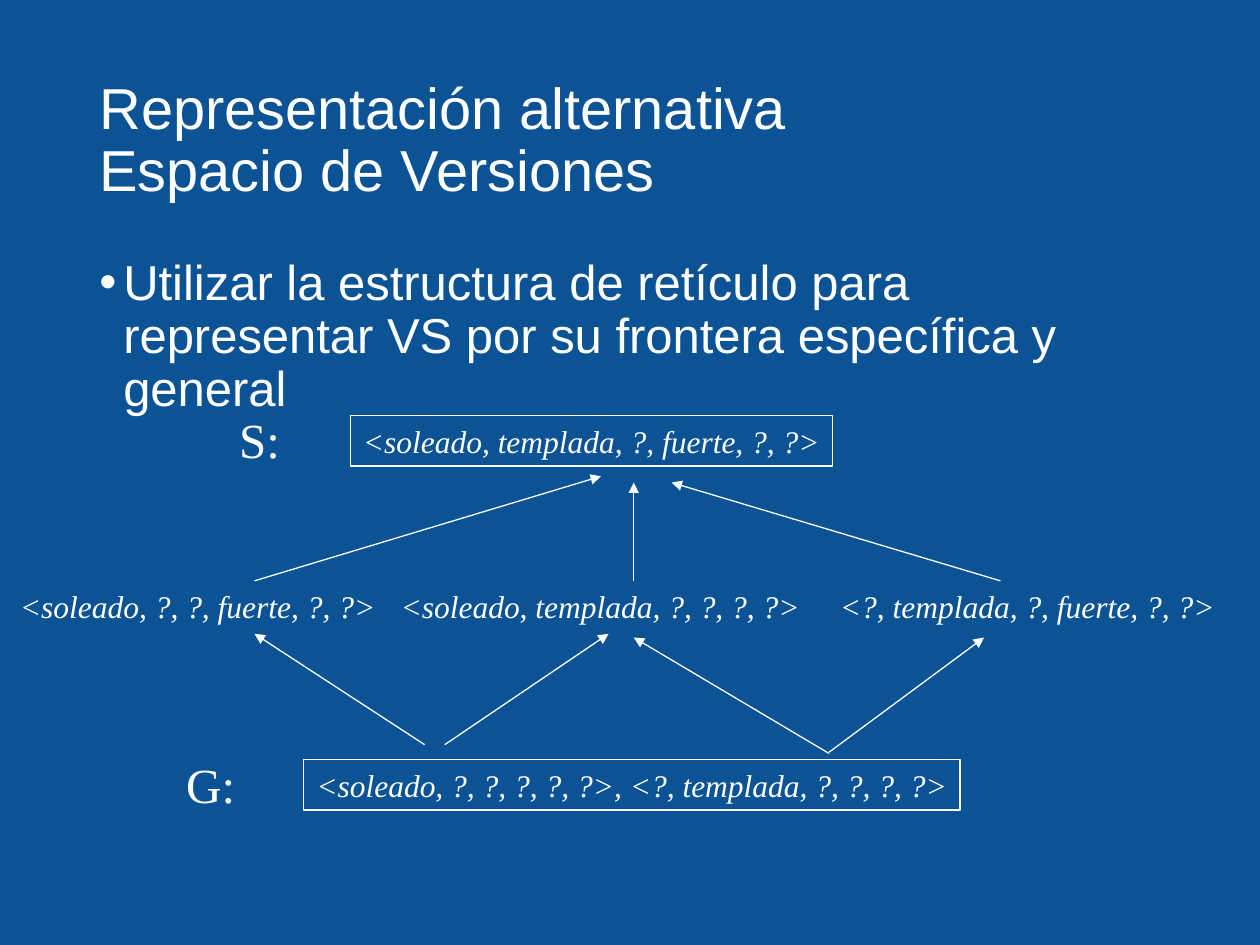
import pptx
import pptx.util
import pptx.dml.color
import pptx.enum.shapes
import pptx.enum.text
from lxml import etree
from pptx.util import Inches, Pt

BLUE = pptx.dml.color.RGBColor(0x0B, 0x53, 0x95)
WHITE = pptx.dml.color.RGBColor(0xFF, 0xFF, 0xFF)
SANS = "Arial"
SERIF = "Times New Roman"
ALIGN = pptx.enum.text.PP_ALIGN
ANCHOR = pptx.enum.text.MSO_ANCHOR
SHAPE = pptx.enum.shapes.MSO_SHAPE
LINK = pptx.enum.shapes.MSO_CONNECTOR
NODE_H = 0.4


def add_xml(parent, tag, **attrs):
    return etree.SubElement(parent, pptx.oxml.ns.qn(tag), attrs)


class Board:
    def __init__(self, deck):
        self.slide = deck.slides.add_slide(deck.slide_layouts[6])
        fill = self.slide.background.fill
        fill.solid()
        fill.fore_color.rgb = BLUE

    def style(self, para, font, size, italic=False):
        para.font.name = font
        para.font.size = Pt(size)
        para.font.italic = italic
        para.font.color.rgb = WHITE

    def box(self, left, top, width, height, wrap):
        box = self.slide.shapes.add_textbox(
            Inches(left), Inches(top), Inches(width), Inches(height))
        box.text_frame.word_wrap = wrap
        return box.text_frame

    def title(self, left, top, width, height, lines):
        frame = self.box(left, top, width, height, True)
        frame.vertical_anchor = ANCHOR.MIDDLE
        para = frame.paragraphs[0]
        for i, line in enumerate(lines):
            if i:
                para.add_line_break()
            para.add_run().text = line
        para.line_spacing = 0.9
        self.style(para, SANS, 33)

    def bullet(self, left, top, width, height, text):
        para = self.box(left, top, width, height, True).paragraphs[0]
        para.text = text
        para.line_spacing = 0.9
        props = para._p.get_or_add_pPr()
        props.set("marL", str(Inches(0.19)))
        props.set("indent", str(-Inches(0.19)))
        add_xml(props, "a:buFont", typeface=SANS)
        add_xml(props, "a:buChar", char="•")
        self.style(para, SANS, 28)

    def label(self, left, top, text):
        para = self.box(left, top, 0.7, 0.57, False).paragraphs[0]
        para.text = text
        self.style(para, SERIF, 28)

    def node(self, left, top, width, text, framed=False):
        """Add a hypothesis, with a white frame if it is on a boundary."""
        box = self.slide.shapes.add_shape(
            SHAPE.RECTANGLE, Inches(left), Inches(top),
            Inches(width), Inches(NODE_H))
        box.shadow.inherit = False
        box.fill.background()
        if framed:
            box.line.color.rgb = WHITE
            box.line.width = Pt(0.75)
        else:
            box.line.fill.background()
        frame = box.text_frame
        frame.word_wrap = False
        frame.vertical_anchor = ANCHOR.TOP
        para = frame.paragraphs[0]
        para.text = text
        para.alignment = ALIGN.CENTER
        self.style(para, SERIF, 18, True)

    def arrow(self, start, end):
        line = self.slide.shapes.add_connector(
            LINK.STRAIGHT, *(Inches(n) for n in start + end))
        line.line.color.rgb = WHITE
        line.line.width = Pt(0.75)
        add_xml(line.line._get_or_add_ln(), "a:tailEnd", type="triangle")
        add_xml(line._element.spPr, "a:effectLst")


def main():
    deck = pptx.Presentation()
    deck.slide_width, deck.slide_height = Inches(10), Inches(7.5)
    board = Board(deck)

    board.title(0.69, 0.4, 8.63, 1.45,
                ["Representación alternativa", "Espacio de Versiones"])
    board.bullet(
        0.69, 2, 8.63, 4.76,
        "Utilizar la estructura de retículo para representar VS "
        "por su frontera específica y general")

    board.label(1.8, 3.2, "S:")
    board.label(1.38, 5.94, "G:")
    board.node(2.78, 3.3, 3.83, "<soleado, templada, ?, fuerte, ?, ?>", True)
    board.node(2.41, 6.03, 5.21,
               "<soleado, ?, ?, ?, ?, ?>, <?, templada, ?, ?, ?, ?>", True)
    for left, width, text in (
            (0.06, 3.02, "<soleado, ?, ?, fuerte, ?, ?>"),
            (3.08, 3.37, "<soleado, templada, ?, ?, ?, ?>"),
            (6.57, 3.17, "<?, templada, ?, fuerte, ?, ?>")):
        board.node(left, 4.61, width, text)

    for start, end in (
            ((3.37, 5.91), (2.02, 5.03)),
            ((3.53, 5.91), (4.83, 5.03)),
            ((6.58, 5.98), (5.03, 5.06)),
            ((6.58, 5.97), (7.81, 5.06)),
            ((2.02, 4.61), (4.77, 3.78)),
            ((7.94, 4.61), (5.33, 3.83)),
            ((5.03, 4.61), (5.03, 3.83))):
        board.arrow(start, end)

    deck.save("out.pptx")


if __name__ == "__main__":
    main()
